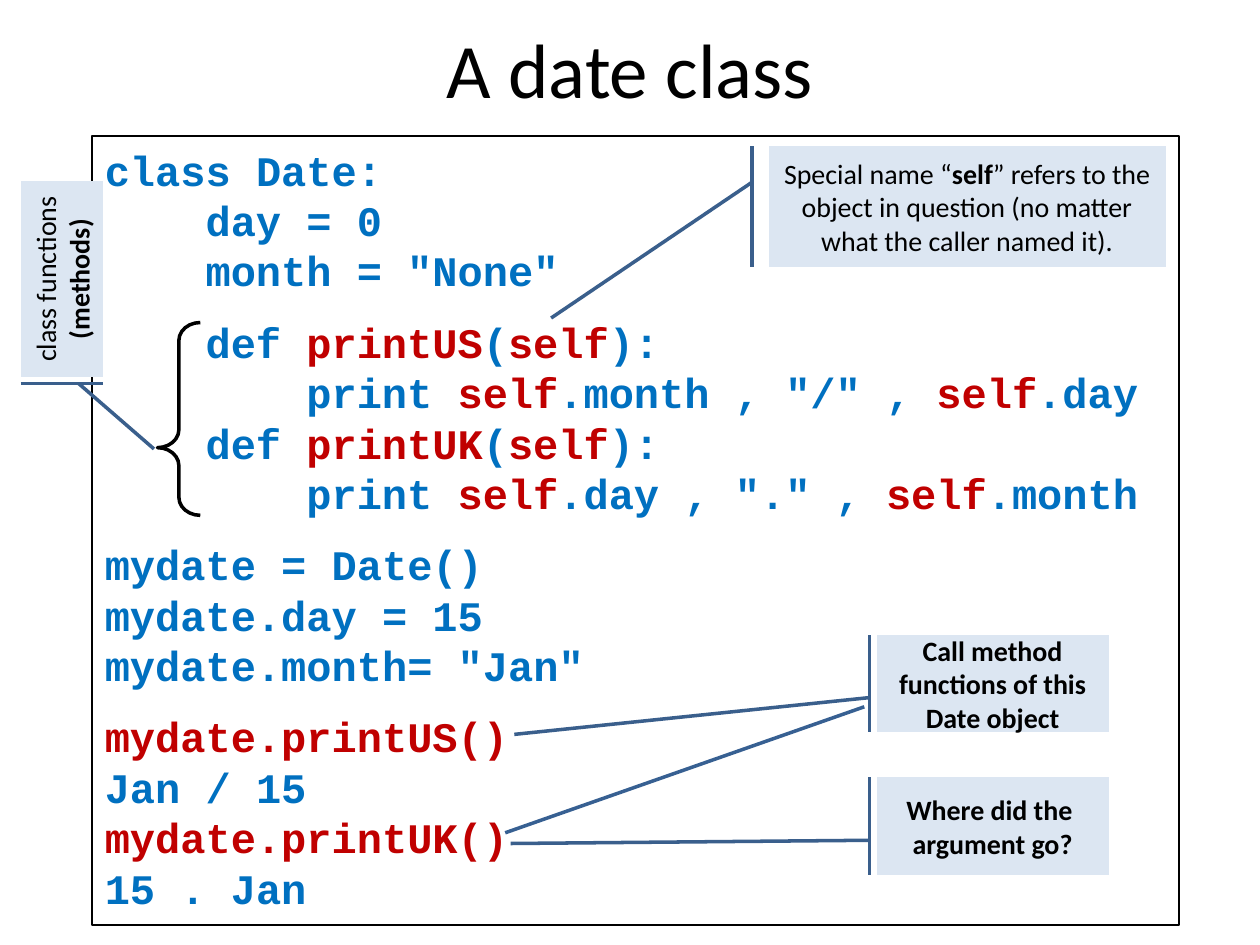
from dataclasses import dataclass

from lxml import etree
from pptx import Presentation
from pptx.dml.color import RGBColor
from pptx.enum.shapes import MSO_CONNECTOR, MSO_SHAPE
from pptx.enum.text import MSO_ANCHOR, PP_ALIGN
from pptx.oxml.ns import qn
from pptx.util import Pt

RECTANGLE = MSO_SHAPE.RECTANGLE
CALLOUT = MSO_SHAPE.LINE_CALLOUT_1_ACCENT_BAR
BRACE = MSO_SHAPE.LEFT_BRACE
STRAIGHT = MSO_CONNECTOR.STRAIGHT
MIDDLE, TOP = MSO_ANCHOR.MIDDLE, MSO_ANCHOR.TOP
CENTER, LEFT = PP_ALIGN.CENTER, PP_ALIGN.LEFT


@dataclass(frozen=True)
class Theme:
    black: str = "000000"
    white: str = "FFFFFF"
    code: str = "0070C0"
    accent: str = "C00000"
    note_fill: str = "DCE6F2"
    note_line: str = "3A5F8C"
    pointer: str = "376092"
    text_font: str = "Calibri"
    code_font: str = "Courier New"
    title_size: float = 44
    code_size: float = 24
    note_size: float = 16
    code_leading: float = 28.8
    block_gap: float = 12
    indent: float = 57.6  # four code characters


THEME = Theme()

# Blocks of (indent level, text); bars enclose the highlighted parts
CODE_BLOCKS = [
    [(0, "class Date:"), (1, "day = 0"), (1, 'month = "None"')],
    [(1, "def |printUS|(|self|):"),
     (2, 'print |self|.month , "/" , |self|.day'),
     (1, "def |printUK|(|self|):"),
     (2, 'print |self|.day , "." , |self|.month')],
    [(0, "mydate = Date()"), (0, "mydate.day = 15"), (0, 'mydate.month= "Jan"')],
    [(0, "|mydate.printUS()|"), (0, "Jan / 15"),
     (0, "|mydate.printUK()|"), (0, "15 . Jan")],
]

# Text, (left, top, width, height), callout adjustments; bars enclose bold parts
CALLOUTS = [
    ("|Call method functions of this Date object|",
     (501, 363, 132.5, 55.5), (0.643, -0.032, 1.021, -1.563)),
    ("Special name “|self|” refers to the object in question "
     "(no matter what the caller named it).",
     (439.2, 83.5, 226.8, 69), (0.3, -0.042, 1.424, -0.548)),
    ("|Where did the \vargument go?|",
     (501, 444.2, 132.5, 56), (0.643, -0.032, 0.676, -1.579)),
]


def rgb(color):
    return RGBColor.from_string(color)


def write_marked(para, marked, font, size, plain, marked_style):
    """Write text whose barred parts take the second (colour, bold) style."""
    for index, text in enumerate(marked.split("|")):
        if not text:
            continue
        color, bold = marked_style if index % 2 else plain
        start = len(para.runs)
        if start:
            para.add_run().text = text
        else:
            para.text = text
        for span in para.runs[start:]:
            span.font.name, span.font.size = font, Pt(size)
            span.font.bold, span.font.color.rgb = bold, rgb(color)


def add_shape(page, kind, place, fill, line, line_width):
    shape = page.shapes.add_shape(kind, *map(Pt, place))
    shape.shadow.inherit = False
    if fill:
        shape.fill.solid()
        shape.fill.fore_color.rgb = rgb(fill)
    else:
        shape.fill.background()
    shape.line.color.rgb = rgb(line)
    shape.line.width = Pt(line_width)
    return shape


def set_adjustments(shape, values):
    for index, value in enumerate(values):
        shape.adjustments[index] = value


def add_title(page, text):
    box = page.shapes.add_textbox(0, 0, Pt(720), Pt(77.8))
    frame = box.text_frame
    frame.word_wrap = True
    frame.vertical_anchor = MIDDLE
    para = frame.paragraphs[0]
    para.alignment = CENTER
    style = (THEME.black, False)
    write_marked(para, text, THEME.text_font, THEME.title_size, style, style)


def add_code(page):
    box = add_shape(page, RECTANGLE, (52.8, 77.8, 621, 450.7),
                    THEME.white, THEME.black, 1)
    frame = box.text_frame
    frame.word_wrap = True
    frame.vertical_anchor = TOP
    frame.margin_top = Pt(4.5)
    para = None
    for block_index, block in enumerate(CODE_BLOCKS):
        for line_index, (level, text) in enumerate(block):
            para = frame.add_paragraph() if para else frame.paragraphs[0]
            para.alignment = LEFT
            para.line_spacing = Pt(THEME.code_leading)
            if block_index and not line_index:
                para.space_before = Pt(THEME.block_gap)
            para._p.get_or_add_pPr().set("marL", str(Pt(level * THEME.indent)))
            write_marked(para, text, THEME.code_font, THEME.code_size,
                         (THEME.code, True), (THEME.accent, True))


def add_callout(page, text, place, adjustments):
    callout = add_shape(page, CALLOUT, place, THEME.note_fill, THEME.note_line, 2)
    set_adjustments(callout, adjustments)
    frame = callout.text_frame
    frame.word_wrap = True
    frame.vertical_anchor = MIDDLE
    para = frame.paragraphs[0]
    para.alignment = CENTER
    write_marked(para, text, THEME.text_font, THEME.note_size,
                 (THEME.black, False), (THEME.black, True))
    return callout


def add_pointer(page, start, end):
    pointer = page.shapes.add_connector(STRAIGHT, *map(Pt, start + end))
    pointer.line.color.rgb = rgb(THEME.pointer)
    pointer.line.width = Pt(2)
    etree.SubElement(pointer._element.spPr, qn("a:effectLst"))


def main():
    deck = Presentation()
    deck.slide_width, deck.slide_height = Pt(720), Pt(540)
    page = deck.slides.add_slide(deck.slide_layouts[6])

    add_code(page)

    # Sideways label and brace around the methods
    label = add_callout(page, "class functions |(methods)|",
                        (-20.9, 136.1, 112.3, 46.8), (0.709, -0.032, 1.627, -0.364))
    label.rotation = 270
    label.text_frame.margin_left = label.text_frame.margin_right = 0
    brace = add_shape(page, BRACE, (90, 184.3, 24.5, 110.2), None, THEME.black, 2)
    set_adjustments(brace, (0.419, 0.649))

    # Remarks beside the code
    for text, place, adjustments in CALLOUTS:
        add_callout(page, text, place, adjustments)
    add_pointer(page, (288.7, 475.9), (493.9, 403.9))

    add_title(page, "A date class")
    deck.save("out.pptx")


if __name__ == "__main__":
    main()
